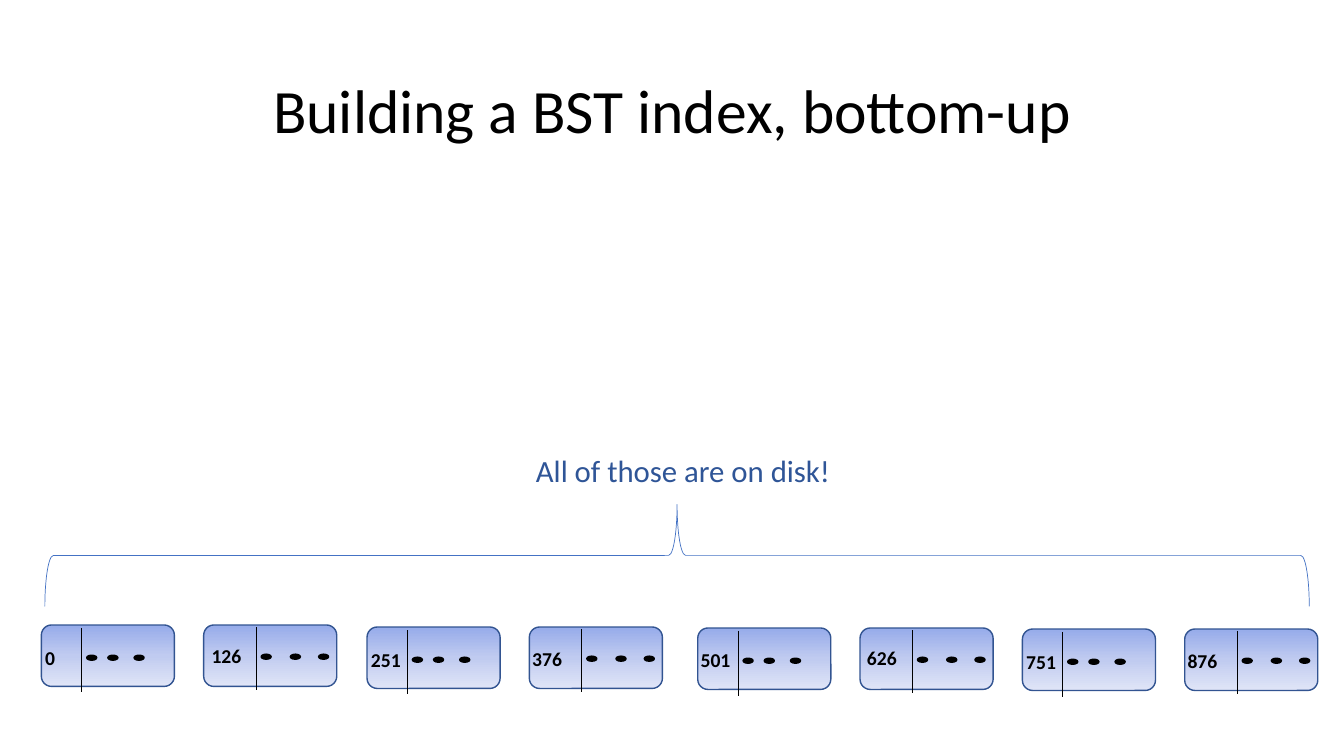
import copy

import pptx
import pptx.util
from lxml import etree
from pptx.dml.color import RGBColor
from pptx.enum.shapes import MSO_CONNECTOR, MSO_SHAPE
from pptx.enum.text import MSO_ANCHOR, PP_ALIGN
from pptx.oxml.ns import qn

PX = 9144  # EMU per px, 100 px to the inch
FONT = "Calibri"
BLACK = RGBColor(0x00, 0x00, 0x00)
NAVY = RGBColor(0x32, 0x54, 0x91)
BLUE = RGBColor(0x44, 0x72, 0xC4)
NOTE_BLUE = RGBColor(0x2F, 0x55, 0x97)
PAGE_STOPS = (
    (0, RGBColor(0x96, 0xAB, 0xEA)),
    (0.5, RGBColor(0xC0, 0xCB, 0xF0)),
    (1, RGBColor(0xE0, 0xE5, 0xF7)),
)

PAGE_W, PAGE_H = 132, 61
# key, page left, page top, key label left and top relative to the page
PAGES = (
    ("0", 41, 620, -6, 16),
    ("126", 202, 620, -2, 14),
    ("251", 364, 622, -6, 16),
    ("376", 525, 622, -7, 15),
    ("501", 692, 623, -7, 15),
    ("626", 853, 623, -3, 13),
    ("751", 1014, 624, -6, 16),
    ("876", 1175, 624, -7, 15),
)
# Relative to the page: divider x, top and bottom, label width, dot lefts and top
NARROW = (40, 3, 67, 59, (45, 66, 92), 30)
WIDE = (52, 2, 65, 74, (57, 86, 114), 29)


def emu(*lengths):
    return [pptx.util.Emu(n * PX) for n in lengths]


def add_text(slide, box, text, size, color, bold=False, align=PP_ALIGN.LEFT,
             anchor=MSO_ANCHOR.TOP, spacing=None):
    tf = slide.shapes.add_textbox(*emu(*box)).text_frame
    tf.word_wrap = True
    tf.vertical_anchor = anchor
    p = tf.paragraphs[0]
    p.alignment = align
    p.line_spacing = spacing
    r = p.add_run()
    r.text = text
    r.font.name = FONT
    r.font.size = pptx.util.Pt(size)
    r.font.bold = bold
    r.font.color.rgb = color


def add_shape(slide, kind, box, line, width):
    sp = slide.shapes.add_shape(kind, *emu(*box))
    sp.shadow.inherit = False
    sp.line.color.rgb = line
    sp.line.width = pptx.util.Pt(width)
    return sp


def fill_page(sp):
    """Shade a page from top to bottom."""
    sp.fill.gradient()
    sp.fill.gradient_angle = 270
    stop_list = sp._element.spPr.find(".//" + qn("a:gsLst"))
    stop_list.append(copy.deepcopy(stop_list[-1]))
    for stop, (position, color) in zip(sp.fill.gradient_stops, PAGE_STOPS):
        stop.position = position
        stop.color.rgb = color


def add_divider(slide, x, top, bottom):
    line = slide.shapes.add_connector(MSO_CONNECTOR.STRAIGHT, *emu(x, top, x, bottom))
    line.line.color.rgb = BLACK
    line.line.width = pptx.util.Pt(0.5)
    etree.SubElement(line._element.spPr, qn("a:effectLst"))


def add_page(slide, key, left, top, label_dx, label_dy, layout):
    """Draw one disk page: its first key, a divider and three dots."""
    divider, line_top, line_bottom, label_w, dots, dot_y = layout
    fill_page(add_shape(slide, MSO_SHAPE.ROUNDED_RECTANGLE,
                        (left, top, PAGE_W, PAGE_H), NAVY, 1))
    add_divider(slide, left + divider, top + line_top, top + line_bottom)
    add_text(slide, (left + label_dx, top + label_dy, label_w, 34), key, 14,
             BLACK, bold=True)
    for dx in dots:
        dot = add_shape(slide, MSO_SHAPE.OVAL, (left + dx, top + dot_y, 10, 5), BLACK, 1)
        dot.fill.solid()
        dot.fill.fore_color.rgb = BLACK


def add_disk_note(slide, left, top, width, height):
    """Draw a brace that opens downwards over the box, with a note above it."""
    brace_box = (left + (width - height) // 2, top - (width - height) // 2, height, width)
    brace = add_shape(slide, MSO_SHAPE.LEFT_BRACE, brace_box, BLUE, 0.5)
    brace.rotation = 90
    brace.fill.background()
    add_text(slide, (left + 319, top - 57, 627, 47), "All of those are on disk!", 22,
             NOTE_BLUE, align=PP_ALIGN.CENTER)


def main():
    prs = pptx.Presentation()
    prs.slide_width, prs.slide_height = emu(1333, 750)
    slide = prs.slides.add_slide(prs.slide_layouts[6])
    add_text(slide, (92, 40, 1150, 145), "Building a BST index, bottom-up", 44, BLACK,
             align=PP_ALIGN.CENTER, anchor=MSO_ANCHOR.MIDDLE, spacing=0.9)
    for i, page in enumerate(PAGES):
        add_page(slide, *page, WIDE if i % 2 else NARROW)
    add_disk_note(slide, 45, 500, 1254, 101)
    prs.save("out.pptx")


if __name__ == "__main__":
    main()
